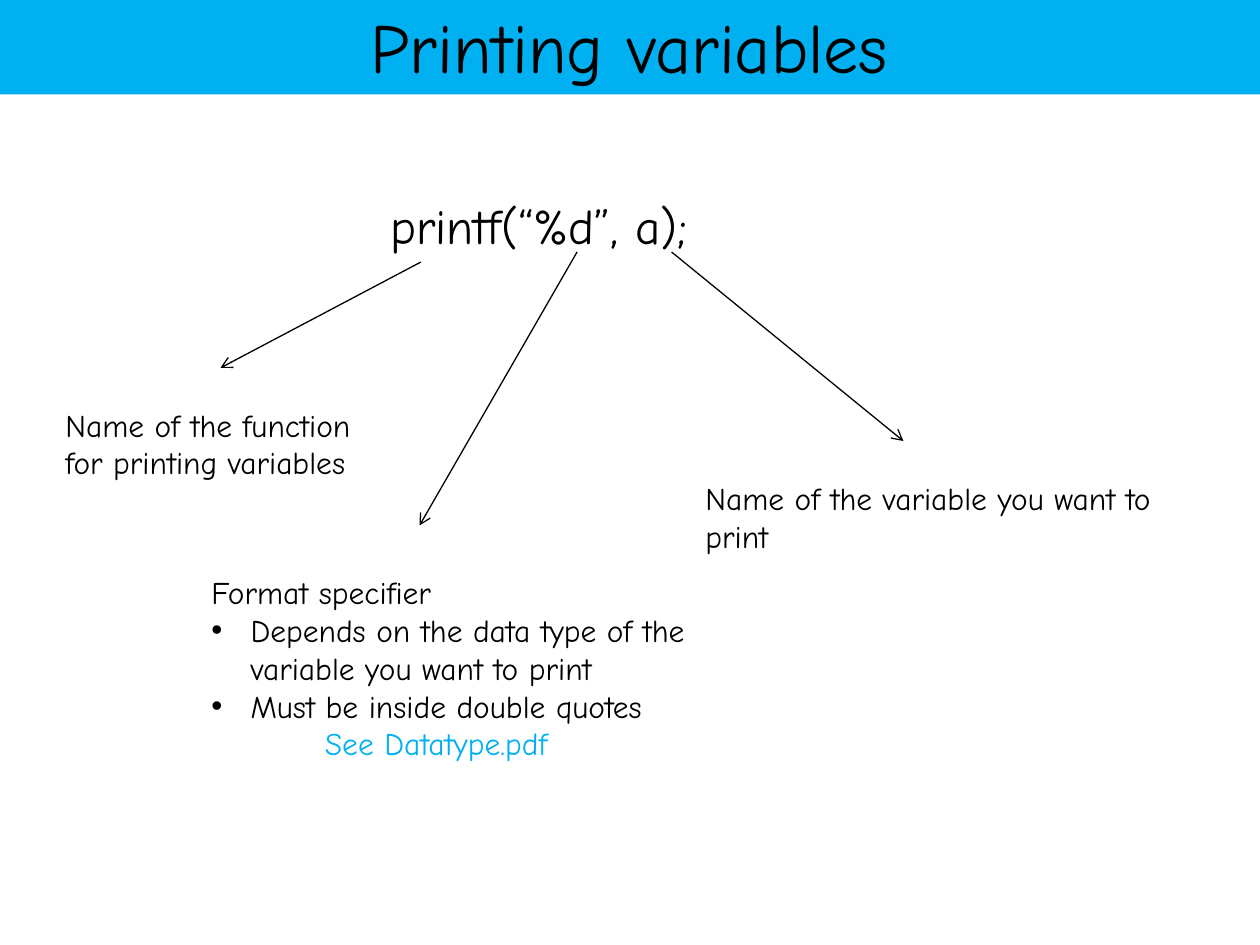
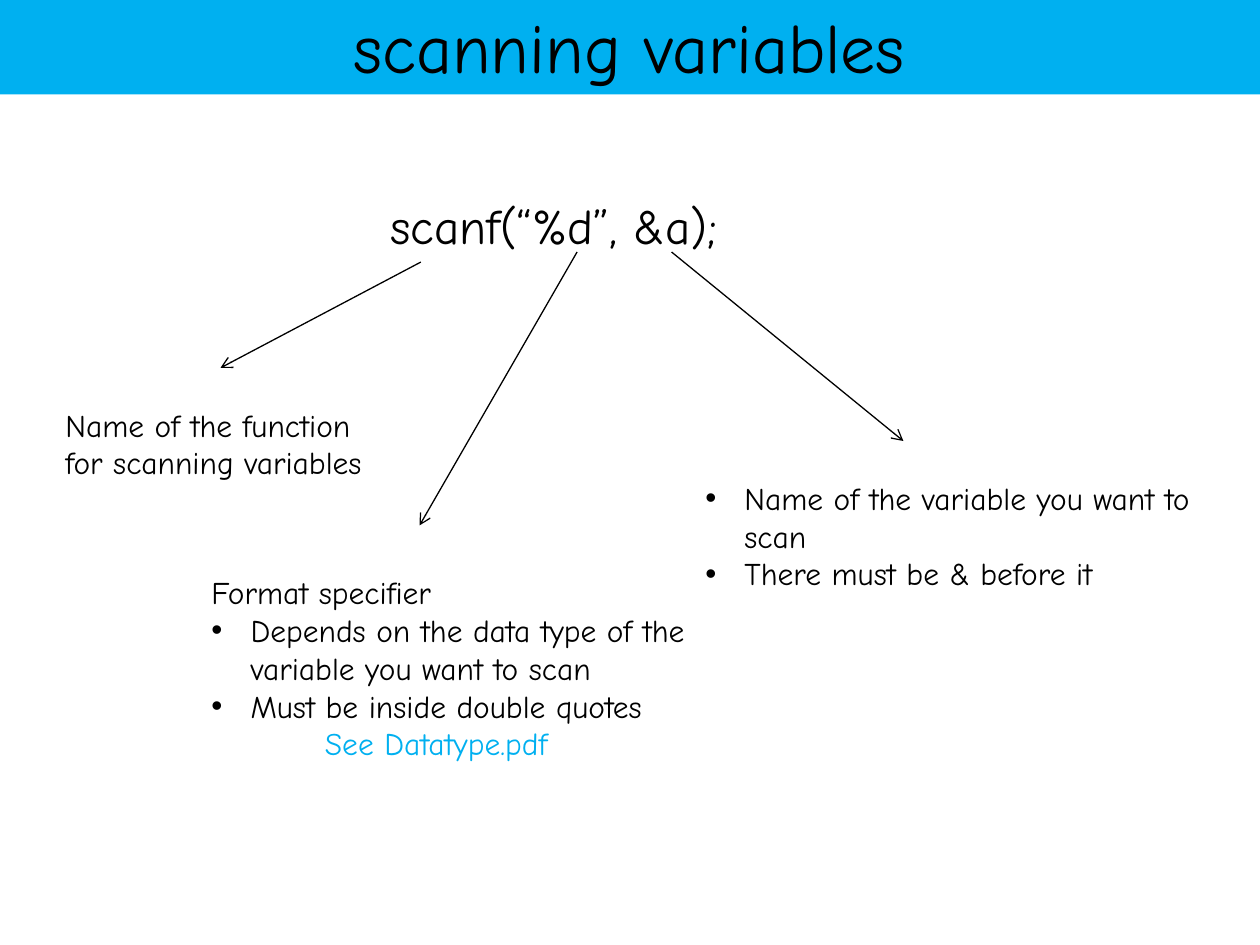
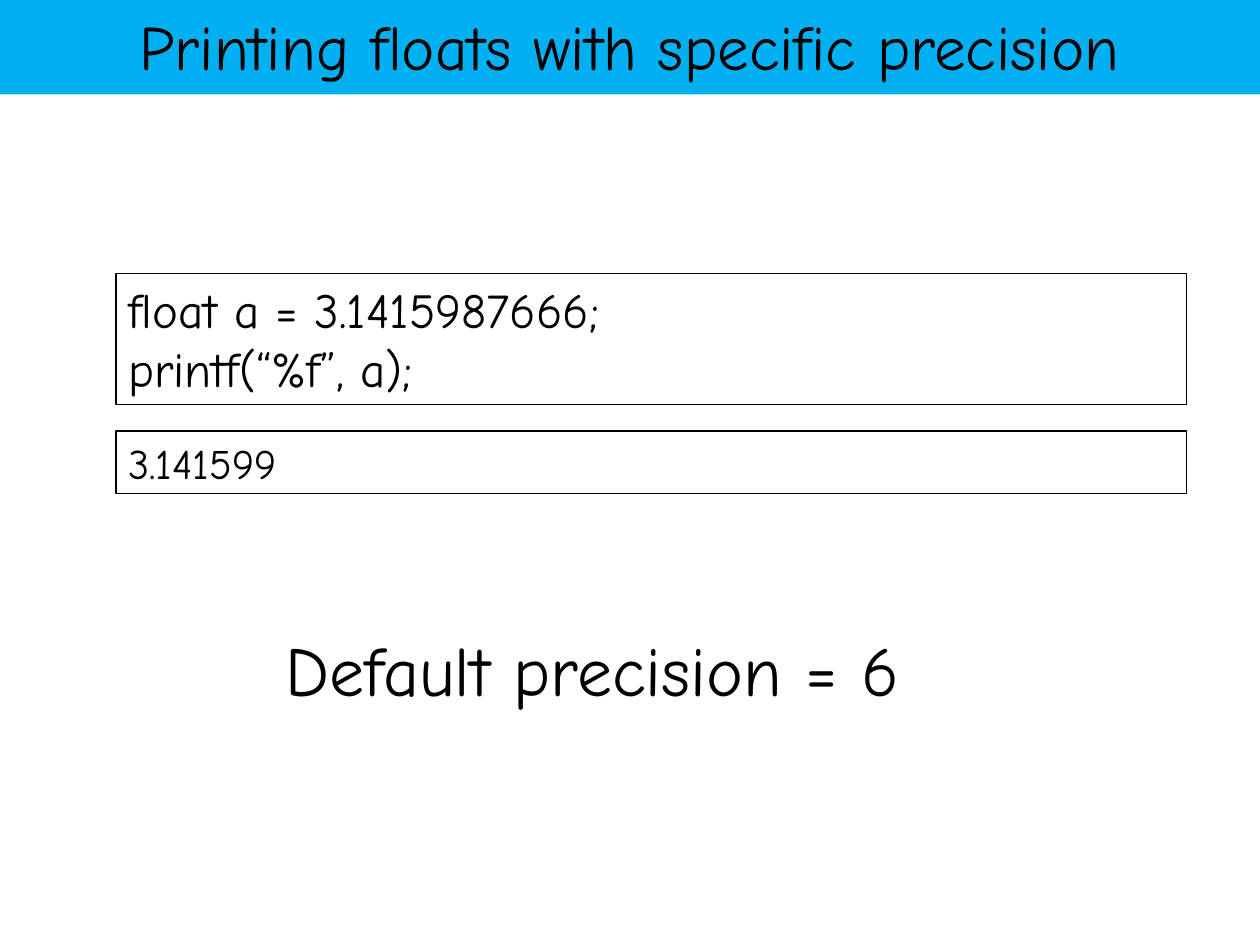
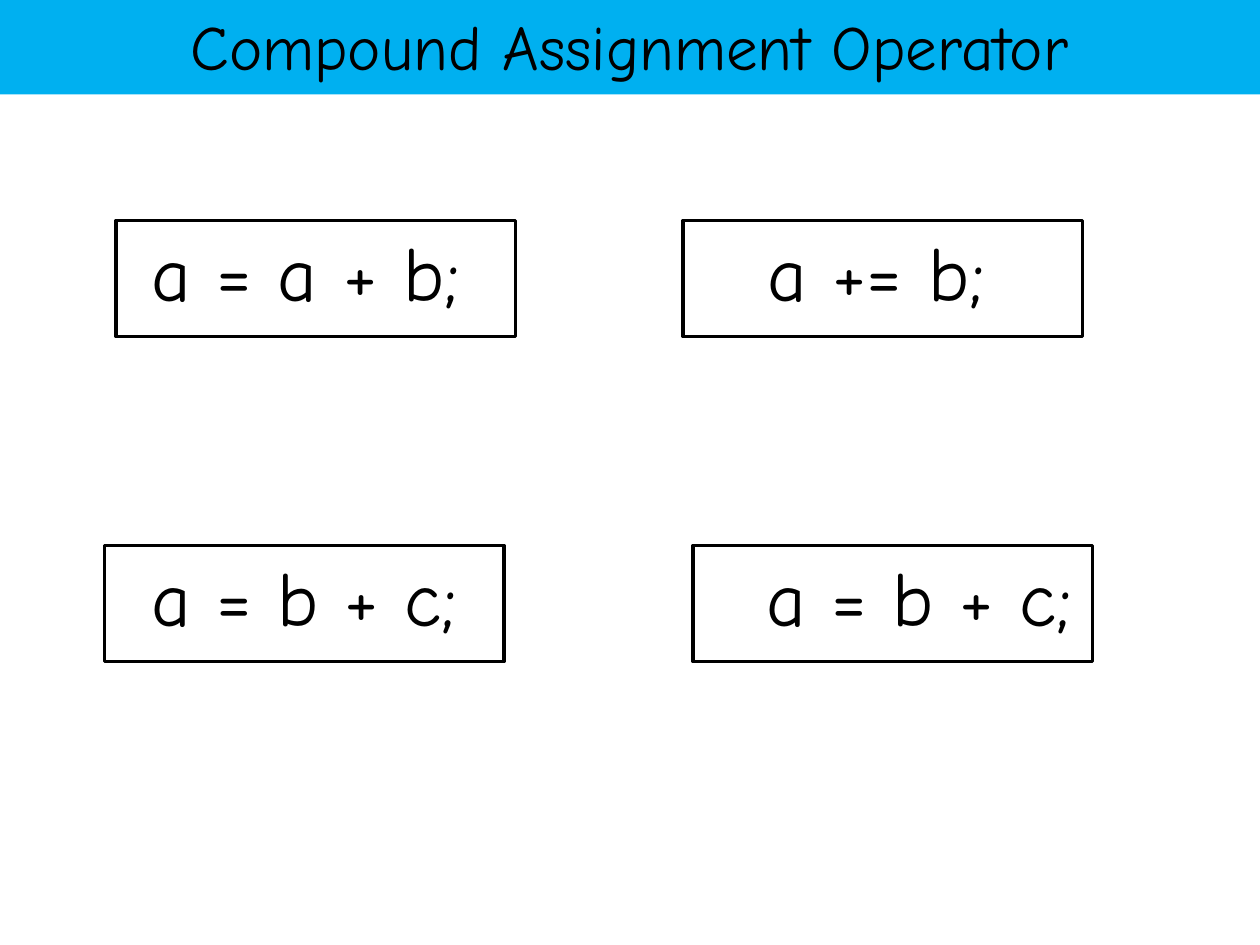
import dataclasses

import pptx
import pptx.dml.color
import pptx.enum.shapes
import pptx.enum.text
import pptx.oxml
import pptx.oxml.ns
import pptx.util

Inches = pptx.util.Inches
Anchor = pptx.enum.text.MSO_ANCHOR
Align = pptx.enum.text.PP_ALIGN
AutoSize = pptx.enum.text.MSO_AUTO_SIZE


@dataclasses.dataclass(frozen=True)
class Theme:
    font: str = "Comic Neue"
    ink: str = "000000"
    accent: str = "00B0F0"
    title: int = 40
    long_title: int = 36
    equation: int = 44
    statement: int = 40
    code: int = 28
    output: int = 24
    note: int = 18
    thin: float = 0.75
    thick: float = 2
    bullet_indent: float = 0.31
    link_indent: float = 0.9


class Slides:
    def __init__(self, theme):
        self.theme = theme
        self.deck = pptx.Presentation()
        self.deck.slide_width = Inches(10)
        self.deck.slide_height = Inches(7.5)
        self.page = None

    def color(self, value):
        return pptx.dml.color.RGBColor.from_string(value)

    def format_para(self, para, size, color=None, align=Align.LEFT):
        para.alignment = align
        for span in para.runs:
            span.font.name = self.theme.font
            span.font.size = pptx.util.Pt(size)
            span.font.color.rgb = self.color(color or self.theme.ink)

    def fill_text(self, box, lines, size):
        frame = box.text_frame
        frame.word_wrap = True
        frame.text = "\n".join(lines)
        for para in frame.paragraphs:
            self.format_para(para, size)
        return frame

    def indent(self, para, left, first=0.0):
        properties = para._p.get_or_add_pPr()
        properties.set("marL", str(Inches(left)))
        properties.set("indent", str(Inches(first)))
        return properties

    def bullet(self, para):
        width = self.theme.bullet_indent
        properties = self.indent(para, width, -width)
        for tag, name, value in (("a:buFont", "typeface", "Arial"), ("a:buChar", "char", "•")):
            mark = pptx.oxml.parse_xml(f"<{tag} {pptx.oxml.ns.nsdecls('a')} {name}='{value}'/>")
            properties.append(mark)

    def add_page(self, title, size):
        self.page = self.deck.slides.add_slide(self.deck.slide_layouts[5])
        band = self.page.shapes.title
        band.left, band.top = Inches(-0.01), Inches(-0.03)
        band.width, band.height = Inches(10.01), Inches(0.78)
        band.fill.solid()
        band.fill.fore_color.rgb = self.color(self.theme.accent)
        frame = band.text_frame
        frame.text = title
        frame.auto_size = AutoSize.NONE
        frame.vertical_anchor = Anchor.MIDDLE
        self.format_para(frame.paragraphs[0], size, align=Align.CENTER)

    def text(self, left, top, width, height, lines, size, bullets=()):
        box = self.page.shapes.add_textbox(Inches(left), Inches(top), Inches(width), Inches(height))
        frame = self.fill_text(box, lines, size)
        frame.auto_size = AutoSize.SHAPE_TO_FIT_TEXT
        for index in bullets:
            self.bullet(frame.paragraphs[index])
        return frame

    def frame(self, left, top, width, height, lines, size, weight):
        box = self.page.shapes.add_shape(
            pptx.enum.shapes.MSO_SHAPE.RECTANGLE,
            Inches(left), Inches(top), Inches(width), Inches(height))
        box.shadow.inherit = False
        box.fill.background()
        box.line.color.rgb = self.color(self.theme.ink)
        box.line.width = pptx.util.Pt(weight)
        frame = self.fill_text(box, lines, size)
        frame.vertical_anchor = Anchor.TOP
        return frame

    def equation(self, left, top, inset, formula):
        frame = self.frame(left, top, 3.17, 0.92, [formula], self.theme.equation, self.theme.thick)
        frame.vertical_anchor = Anchor.MIDDLE
        frame.margin_left = Inches(inset)
        frame.margin_right = frame.margin_top = 0
        frame.margin_bottom = Inches(0.12)

    def arrow(self, start, end):
        line = self.page.shapes.add_connector(
            pptx.enum.shapes.MSO_CONNECTOR.STRAIGHT, *map(Inches, start + end))
        line.line.color.rgb = self.color(self.theme.ink)
        line.line.width = pptx.util.Pt(self.theme.thin)
        namespace = pptx.oxml.ns.nsdecls("a")
        outline = line.line._get_or_add_ln()
        outline.append(pptx.oxml.parse_xml(f"<a:tailEnd {namespace} type='arrow'/>"))
        line._element.spPr.append(pptx.oxml.parse_xml(f"<a:effectLst {namespace}/>"))

    def call_diagram(self, title, call, gerund, verb, variable_notes, bullets=()):
        theme = self.theme
        self.add_page(title, theme.title)
        self.text(3, 1.5, 5, 0.57, [call], theme.code)
        for start, end in (
            ((3.34, 2.08), (1.75, 2.92)),
            ((5.33, 2), (7.17, 3.5)),
            ((4.58, 2), (3.33, 4.17)),
        ):
            self.arrow(start, end)
        self.text(0.42, 3.17, 2.58, 0.71, [f"Name of the function for {gerund} variables"], theme.note)
        specifier = self.text(1.58, 4.5, 4.08, 1.62, [
            "Format specifier",
            f"Depends on the data type of the variable you want to {verb}",
            "Must be inside double quotes",
            "See Datatype.pdf",
        ], theme.note, bullets=(1, 2))
        reference = specifier.paragraphs[3]
        self.format_para(reference, theme.note, theme.accent)
        self.indent(reference, theme.link_indent)
        height = 0.41 + 0.3 * len(variable_notes)
        self.text(5.5, 3.75, 4.08, height, variable_notes, theme.note, bullets)


theme = Theme()
slides = Slides(theme)

slides.call_diagram(
    "Printing variables", "printf(“%d”, a);", "printing", "print",
    ["Name of the variable you want to print"])

slides.call_diagram(
    "scanning variables", "scanf(“%d”, &a);", "scanning", "scan",
    ["Name of the variable you want to scan", "There must be & before it"],
    bullets=(0, 1))

slides.add_page("Printing floats with specific precision", theme.long_title)
slides.frame(0.92, 2.17, 8.5, 1.04,
             ["float a = 3.1415987666;", "printf(“%f”, a);"], theme.code, theme.thin)
slides.frame(0.92, 3.42, 8.5, 0.5, ["3.141599"], theme.output, theme.thin)
slides.text(2.17, 4.92, 5.67, 0.77, ["Default precision = 6"], theme.statement)

slides.add_page("Compound Assignment Operator", theme.long_title)
for left, top, inset, formula in (
    (0.92, 1.75, 0.28, "a = a + b;"),
    (5.42, 1.75, 0.67, "a += b;"),
    (0.83, 4.33, 0.37, "a = b + c;"),
    (5.5, 4.33, 0.58, "a = b + c;"),
):
    slides.equation(left, top, inset, formula)

slides.deck.save("out.pptx")
